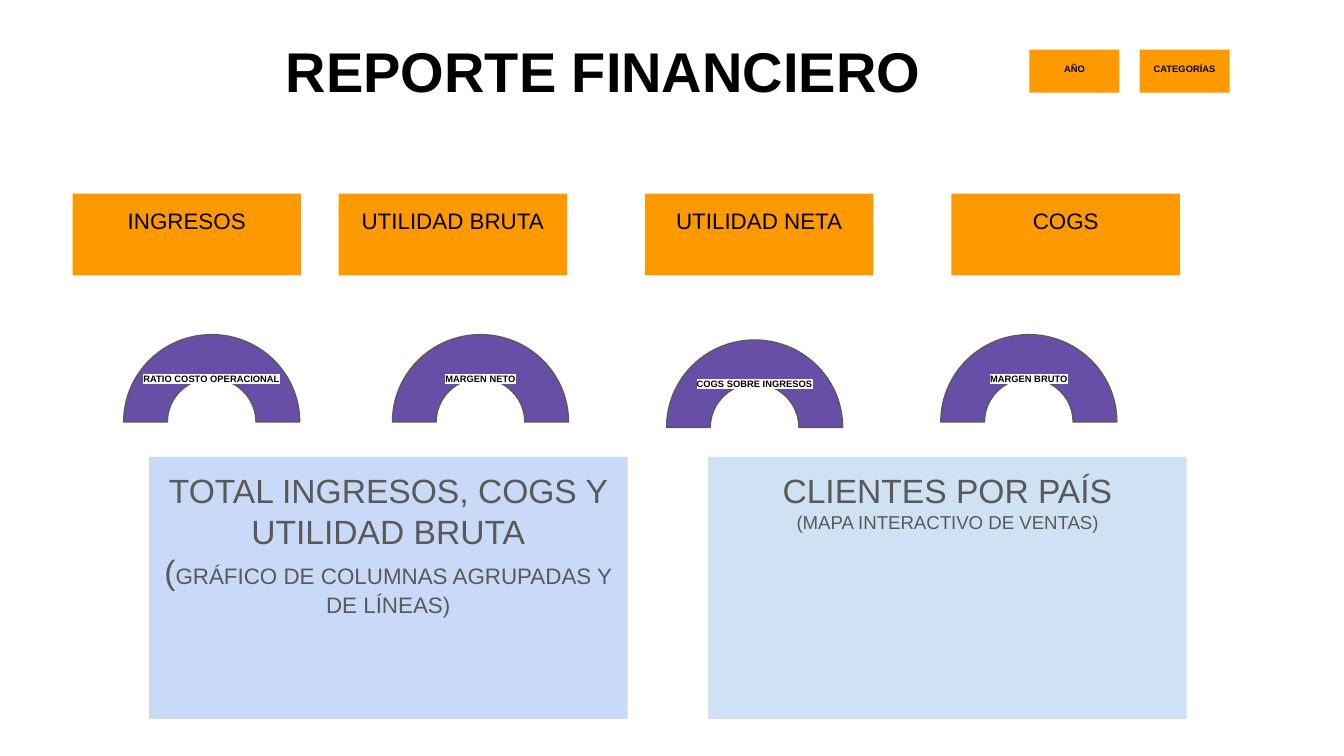
import pptx
import pptx.util
import pptx.dml.color
import pptx.enum.shapes
import pptx.enum.text
import pptx.oxml
import pptx.oxml.ns

Inches = pptx.util.Inches
Kind = pptx.enum.shapes.MSO_SHAPE
Align = pptx.enum.text.PP_ALIGN
Anchor = pptx.enum.text.MSO_ANCHOR

BLACK, GRAY, WHITE = "000000", "595959", "FFFFFF"
ORANGE, PURPLE = "FF9900", "674EA7"


def color(code):
    return pptx.dml.color.RGBColor.from_string(code)


def setup(shape, align, anchor=Anchor.TOP):
    frame = shape.text_frame
    frame.word_wrap = True
    frame.vertical_anchor = anchor
    frame.margin_left = frame.margin_right = Inches(0.1)
    frame.margin_top = frame.margin_bottom = Inches(0.1)
    para = frame.paragraphs[0]
    para.alignment = align
    return para


def write(para, text, size, ink=BLACK, bold=False, mark=None):
    run = para.add_run()
    run.text = text
    font = run.font
    font.size = pptx.util.Pt(size)
    font.bold = bold
    font.color.rgb = color(ink)
    if mark:
        light = pptx.oxml.parse_xml(
            f'<a:highlight {pptx.oxml.ns.nsdecls("a")}>'
            f'<a:srgbClr val="{mark}"/></a:highlight>'
        )
        run._r.get_or_add_rPr().append(light)
    font.name = "Arial"


def block(slide, kind, box, fill):
    shape = slide.shapes.add_shape(kind, *map(Inches, box))
    shape.shadow.inherit = False
    shape.fill.solid()
    shape.fill.fore_color.rgb = color(fill)
    shape.line.fill.background()
    return shape


def title(slide, box):
    shape = slide.shapes.add_textbox(*map(Inches, box))
    write(setup(shape, Align.LEFT), "REPORTE FINANCIERO", 30, bold=True)


def card(slide, box, text, size, bold=False):
    shape = block(slide, Kind.RECTANGLE, box, ORANGE)
    write(setup(shape, Align.CENTER), text, size, bold=bold)


def filters(slide, box):
    left, top, width, height = box
    wide = 0.67
    for x, text in ((left + width - wide, "CATEGORÍAS"), (left, "AÑO")):
        card(slide, (x, top, wide, height), text, 5, True)


def totals(slide, box):
    left, top, width, height = box
    names = {0: "INGRESOS", 1.98: "UTILIDAD BRUTA",
             4.26: "UTILIDAD NETA", 6.54: "COGS"}
    for x, text in names.items():
        card(slide, (left + x, top, 1.7, height), text, 12)


def gauge(slide, box, text):
    shape = block(slide, Kind.BLOCK_ARC, box, PURPLE)
    for i, value in enumerate((108, 0, 0.25)):
        shape.adjustments[i] = value
    shape.line.color.rgb = color(GRAY)
    shape.line.width = pptx.util.Pt(0.75)
    para = setup(shape, Align.CENTER, Anchor.MIDDLE)
    write(para, text, 5, bold=True, mark=WHITE)


def ratios(slide, box):
    left, top, width, height = box
    parts = (
        (0, 0, "RATIO COSTO OPERACIONAL"),
        (6.08, 0, "MARGEN BRUTO"),
        (4.04, 0.04, "COGS SOBRE INGRESOS"),
        (2, 0, "MARGEN NETO"),
    )
    for x, y, text in parts:
        gauge(slide, (left + x, top + y, 1.31, height), text)


def panel(slide, box, fill, lines):
    shape = block(slide, Kind.RECTANGLE, box, fill)
    para = setup(shape, Align.CENTER)
    for i, line in enumerate(lines):
        if i:
            para.add_line_break()
        for text, size in line:
            write(para, text, size, GRAY)


def main():
    deck = pptx.Presentation()
    deck.slide_width = Inches(10)
    deck.slide_height = deck.slide_width * 9 // 16
    slide = deck.slides.add_slide(deck.slide_layouts[6])
    title(slide, (2.03, 0.17, 5.07, 0.89))
    totals(slide, (0.54, 1.44, 8.24, 0.61))
    filters(slide, (7.66, 0.37, 1.49, 0.32))
    ratios(slide, (0.92, 2.49, 7.39, 1.3))
    panel(slide, (1.11, 3.4, 3.56, 1.95), "C9DAF8", (
        [("TOTAL INGRESOS, COGS Y UTILIDAD BRUTA", 18)],
        [("(", 18), ("GRÁFICO DE COLUMNAS AGRUPADAS Y DE LÍNEAS)", 12)],
    ))
    panel(slide, (5.27, 3.4, 3.56, 1.95), "CFE2F3", (
        [("CLIENTES POR PAÍS", 18)],
        [("(MAPA INTERACTIVO DE VENTAS)", 10)],
    ))
    deck.save("out.pptx")


if __name__ == "__main__":
    main()
